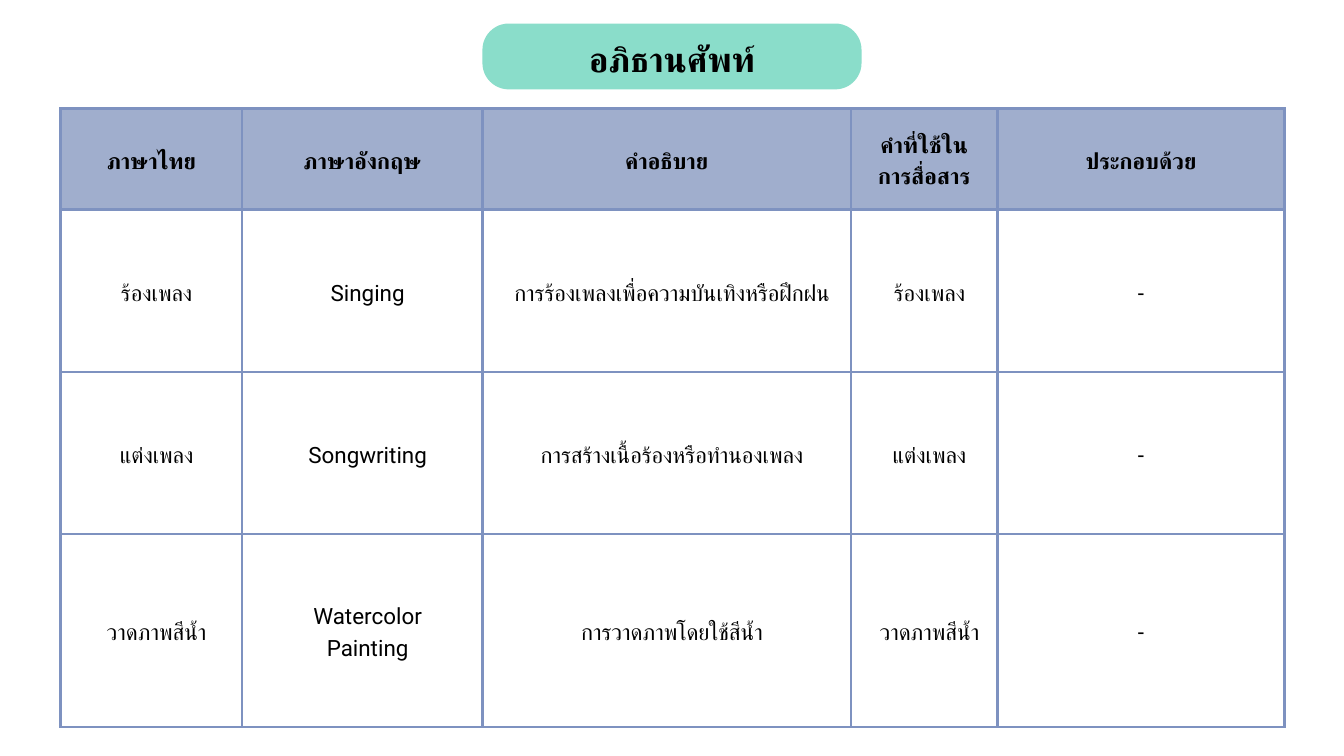
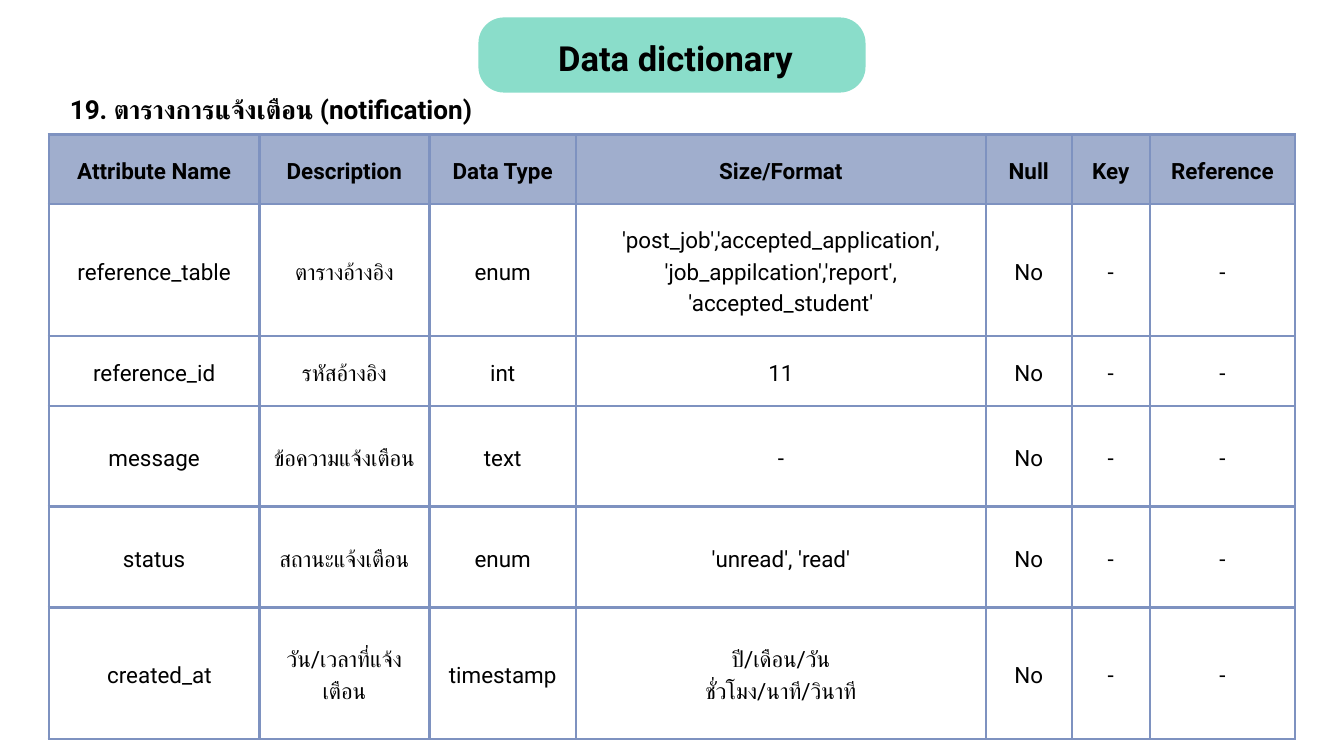
import pptx
import pptx.dml.color
import pptx.enum.shapes
import pptx.enum.text
import pptx.oxml
import pptx.oxml.ns
import pptx.util
from pptx.util import Cm

WIDE, HIGH = 50.8, 28.58
COLORS = {"text": "000000", "pill": "8ADDCA", "head": "A0AECD", "line": "7E92C0"}
ALIGN = pptx.enum.text.PP_ALIGN
ANCHOR = pptx.enum.text.MSO_ANCHOR
NS = pptx.oxml.ns.nsdecls("a")


def tint(name):
    return pptx.dml.color.RGBColor.from_string(COLORS[name])


class Deck:
    face = "Roboto"
    inset = 0.53
    nudge = 0.4  # extra left inset of shifted cells

    def __init__(self):
        self.prs = pptx.Presentation()
        self.prs.slide_width, self.prs.slide_height = Cm(WIDE), Cm(HIGH)

    def page(self):
        self.slide = self.prs.slides.add_slide(self.prs.slide_layouts[5])

    def words(self, frame, text, size, lead, bold=True, align=ALIGN.CENTER):
        frame.word_wrap = True
        frame.text = text
        for para in frame.paragraphs:
            para.alignment = align
            para.line_spacing = pptx.util.Pt(lead)
            font = para.font
            font.name, font.size, font.bold = self.face, pptx.util.Pt(size), bold
            font.color.rgb = tint("text")
            # Thai text takes the complex-script face
            base = para._p.pPr.find(pptx.oxml.ns.qn("a:defRPr"))
            base.append(pptx.oxml.parse_xml(f'<a:cs {NS} typeface="{self.face}"/>'))

    def plain(self, frame):
        frame.auto_size = pptx.enum.text.MSO_AUTO_SIZE.NONE
        frame.vertical_anchor = ANCHOR.TOP
        frame.margin_left = frame.margin_right = 0
        frame.margin_top = frame.margin_bottom = 0

    def title(self, text, box, pill):
        # Centred pill, placed behind the title
        top, wide, high, curve = pill
        kind = pptx.enum.shapes.MSO_SHAPE.ROUNDED_RECTANGLE
        back = self.slide.shapes.add_shape(
            kind, Cm((WIDE - wide) / 2), Cm(top), Cm(wide), Cm(high))
        back.adjustments[0] = curve
        back.shadow.inherit = False
        back.fill.solid()
        back.fill.fore_color.rgb = tint("pill")
        back.line.fill.background()
        head = self.slide.shapes.title
        head.element.addprevious(back.element)
        head.left, head.top, head.width, head.height = map(Cm, box)
        self.plain(head.text_frame)
        self.words(head.text_frame, text, 37, 51.7)

    def label(self, text, box):
        frame = self.slide.shapes.add_textbox(*map(Cm, box)).text_frame
        self.plain(frame)
        self.words(frame, text, 28, 39.2, align=ALIGN.LEFT)

    def cell(self, cell, text, head, moved):
        cell.margin_left = Cm(self.inset + (self.nudge if moved else 0))
        cell.margin_right = cell.margin_top = cell.margin_bottom = Cm(self.inset)
        cell.vertical_anchor = ANCHOR.MIDDLE
        self.words(cell.text_frame, text, 24, 33.6, bold=head)
        props = cell._tc.get_or_add_tcPr()
        for side in "LRTB":
            props.append(pptx.oxml.parse_xml(
                f'<a:ln{side} {NS} w="38100"><a:solidFill>'
                f'<a:srgbClr val="{COLORS["line"]}"/></a:solidFill></a:ln{side}>'))
        if head:
            cell.fill.solid()
            cell.fill.fore_color.rgb = tint("head")
        else:
            cell.fill.background()

    def table(self, left, top, cols, rows, data, moved):
        grid = self.slide.shapes.add_table(
            len(rows), len(cols), Cm(left), Cm(top),
            Cm(sum(cols)), Cm(sum(rows))).table
        grid.first_row = grid.horz_banding = False
        for col, wide in zip(grid.columns, cols):
            col.width = Cm(wide)
        for row, high in zip(grid.rows, rows):
            row.height = Cm(high)
        for r, line in enumerate(data):
            for c, text in enumerate(line):
                self.cell(grid.cell(r, c), text, r == 0, moved(r, c))


# Slide 1: glossary
TERMS = [
    ("ภาษาไทย", "ภาษาอังกฤษ", "คำอธิบาย", "คำที่ใช้ในการสื่อสาร", "ประกอบด้วย"),
    ("ร้องเพลง", "Singing", "การร้องเพลงเพื่อความบันเทิงหรือฝึกฝน", "ร้องเพลง", "-"),
    ("แต่งเพลง", "Songwriting", "การสร้างเนื้อร้องหรือทำนองเพลง", "แต่งเพลง", "-"),
    ("วาดภาพสีน้ำ", "Watercolor\nPainting", "การวาดภาพโดยใช้สีน้ำ", "วาดภาพสีน้ำ", "-"),
]

# Slide 2: data dictionary; every field ends with the same three values
REST = ("No", "-", "-")
FIELDS = [
    ("Attribute Name", "Description", "Data Type", "Size/Format",
     "Null", "Key", "Reference"),
    ("reference_table", "ตารางอ้างอิง", "enum",
     "'post_job','accepted_application',\n"
     "'job_appilcation','report', 'accepted_student'", *REST),
    ("reference_id", "รหัสอ้างอิง", "int", "11", *REST),
    ("message", "ข้อความแจ้งเตือน", "text", "-", *REST),
    ("status", "สถานะแจ้งเตือน", "enum", "'unread', 'read'", *REST),
    ("created_at", "วัน/เวลาที่แจ้งเตือน", "timestamp",
     "ปี/เดือน/วัน\nชั่วโมง/นาที/วินาที", *REST),
]


def main():
    deck = Deck()

    deck.page()
    deck.title("อภิธานศัพท์", (21.59, 1.19, 7.62, 1.75), (0.89, 14.33, 2.49, 0.4))
    deck.table(2.29, 4.11, (6.86, 9.09, 13.92, 5.54, 10.85),
               (3.81, 6.15, 6.12, 7.29), TERMS,
               lambda r, c: r > 0 and c < 4)

    deck.page()
    deck.title("Data dictionary", (20.4, 1.14, 10.26, 1.7), (0.66, 14.63, 2.84, 0.34))
    deck.table(1.85, 5.08, (7.95, 6.43, 5.54, 15.49, 3.25, 2.95, 5.49),
               (2.64, 4.98, 2.64, 3.81, 3.81, 4.98), FIELDS,
               lambda r, c: (r, c) == (5, 0))
    deck.label("19. ตารางการแจ้งเตือน (notification)", (2.64, 3.33, 20.85, 1.35))

    deck.prs.save("out.pptx")


if __name__ == "__main__":
    main()
